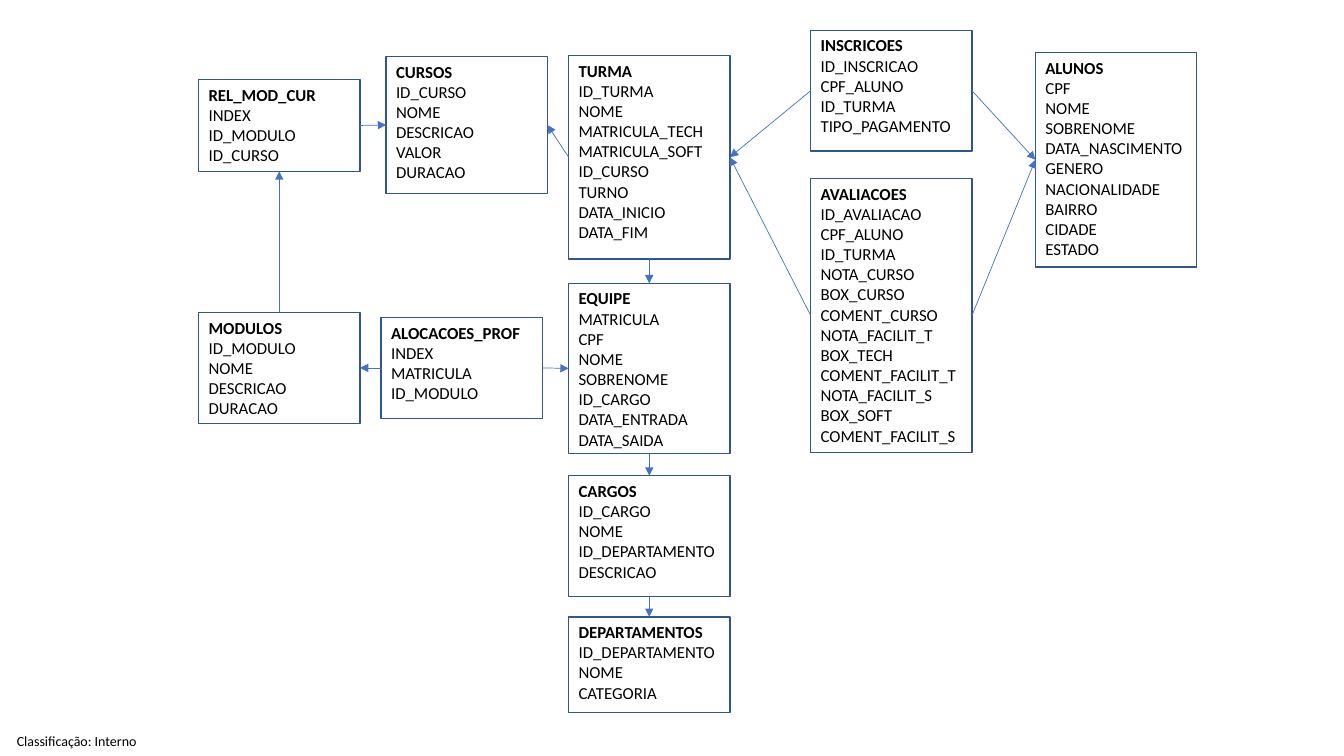
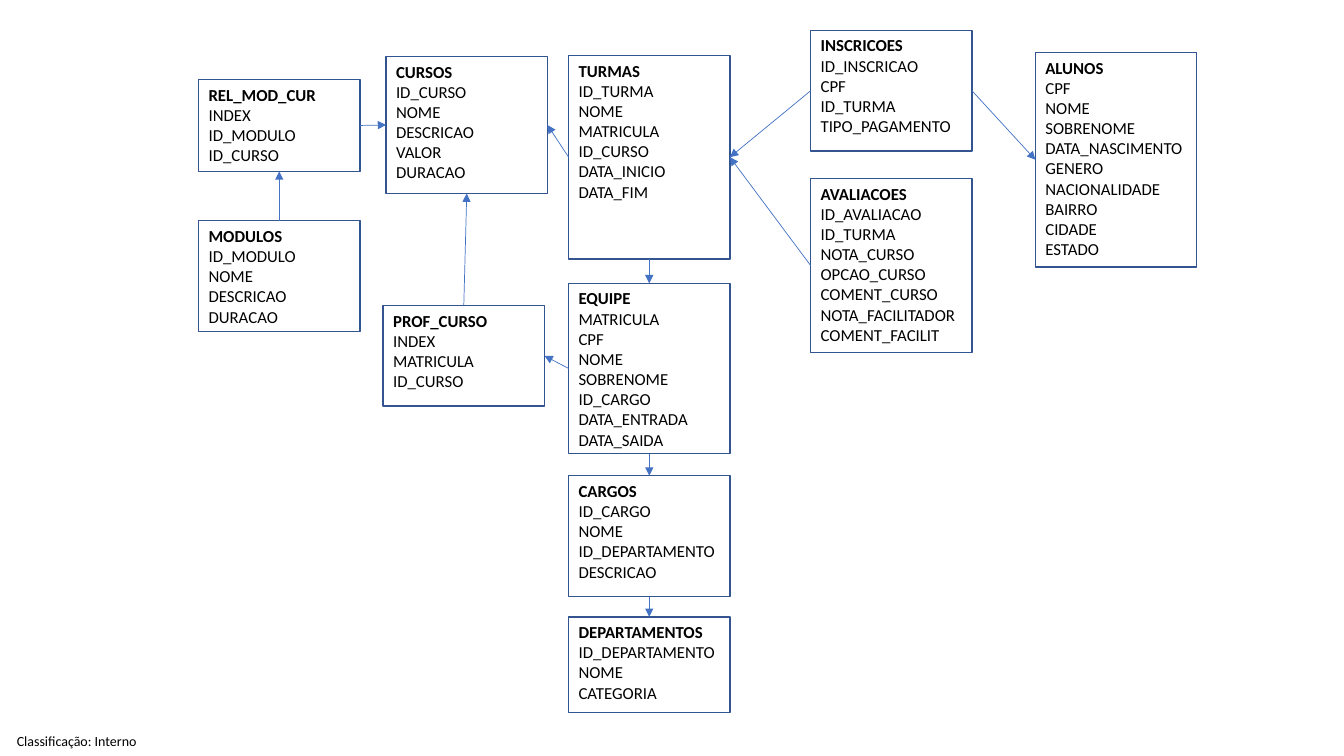
from lxml import etree
from pptx import Presentation
from pptx.dml.color import RGBColor
from pptx.enum.shapes import MSO_CONNECTOR, MSO_SHAPE
from pptx.enum.text import MSO_ANCHOR, PP_ALIGN
from pptx.oxml.ns import qn
from pptx.util import Inches, Pt

RECT, STRAIGHT = MSO_SHAPE.RECTANGLE, MSO_CONNECTOR.STRAIGHT
ANCHOR_TOP, ANCHOR_MIDDLE = MSO_ANCHOR.TOP, MSO_ANCHOR.MIDDLE
LEFT, CENTER = PP_ALIGN.LEFT, PP_ALIGN.CENTER
# Connection sites of a rectangle
N, W, S, E = range(4)

COLORS = {"border": "325491", "arrow": "4472C4", "text": "000000"}
FONT = "Calibri"
BLANK = 6

# Lengths are percentages of the slide's width or height
BOX_W = 12
MODULE_X, COURSE_X, CLASS_X, ENROLL_X, STUDENT_X = 14.78, 28.73, 42.31, 60.32, 77.04

# Each entity: left, top, height, fields
SHARED_ENTITIES = {
    "ALUNOS": (STUDENT_X, 6.93, 28.4,
               "CPF NOME SOBRENOME DATA_NASCIMENTO GENERO NACIONALIDADE BAIRRO CIDADE ESTADO"),
    "EQUIPE": (CLASS_X, 37.47, 22.53,
               "MATRICULA CPF NOME SOBRENOME ID_CARGO DATA_ENTRADA DATA_SAIDA"),
    "DEPARTAMENTOS": (CLASS_X, 81.6, 12.67, "ID_DEPARTAMENTO NOME CATEGORIA"),
    "REL_MOD_CUR": (MODULE_X, 10.53, 12.13, "INDEX ID_MODULO ID_CURSO"),
    "CURSOS": (COURSE_X, 7.47, 18.13, "ID_CURSO NOME DESCRICAO VALOR DURACAO"),
    "CARGOS": (CLASS_X, 62.93, 16, "ID_CARGO NOME ID_DEPARTAMENTO DESCRICAO"),
}
SHARED_LINKS = [
    ("EQUIPE", S, "CARGOS", N),
    ("CARGOS", S, "DEPARTAMENTOS", N),
    ("INSCRICOES", E, "ALUNOS", W),
    ("REL_MOD_CUR", E, "CURSOS", W),
    ("MODULOS", N, "REL_MOD_CUR", S),
]


def class_entity(fields):
    """Return the class entity with the given fields."""
    return CLASS_X, 7.33, 26.93, fields


def enrollment(student_key):
    """Return the enrollment entity with its key to the student."""
    return ENROLL_X, 4, 16, f"ID_INSCRICAO {student_key} ID_TURMA TIPO_PAGAMENTO"


def review(height, fields):
    """Return the review entity with the given height and fields."""
    return ENROLL_X, 23.6, height, fields


def module(top):
    """Return the module entity at the given height on the slide."""
    return MODULE_X, top, 14.67, "ID_MODULO NOME DESCRICAO DURACAO"


def class_links(name):
    """Return the links that start or end at the class entity."""
    return [
        (name, S, "EQUIPE", N),
        (name, W, "CURSOS", E),
        ("INSCRICOES", W, name, E),
        ("AVALIACOES", W, name, E),
    ]


class Diagram:
    """Holds the style, the current slide and its entity boxes."""

    def __init__(self):
        """Start an empty widescreen presentation."""
        self.prs = Presentation()
        self.prs.slide_width, self.prs.slide_height = Inches(13.33), Inches(7.5)

    def x(self, share):
        """Convert a percentage of the slide's width."""
        return round(self.prs.slide_width * share / 100)

    def y(self, share):
        """Convert a percentage of the slide's height."""
        return round(self.prs.slide_height * share / 100)

    def format_text(self, tf, size, align, bold_first=False):
        """Apply the shared font to every run."""
        for i, p in enumerate(tf.paragraphs):
            p.alignment = align
            for r in p.runs:
                r.font.name, r.font.size = FONT, Pt(size)
                r.font.bold = bold_first and i == 0
                r.font.color.rgb = RGBColor.from_string(COLORS["text"])

    def footer(self, text):
        """Add the classification label in the bottom left corner."""
        sp = self.s.shapes.add_textbox(0, self.y(96.13), self.x(11.4), self.y(3.87))
        tf = sp.text_frame
        tf.margin_left = tf.margin_right = tf.margin_top = tf.margin_bottom = 0
        tf.word_wrap, tf.vertical_anchor = True, ANCHOR_MIDDLE
        tf.text = text
        self.format_text(tf, 10, CENTER)

    def entity(self, name, left, top, height, fields):
        """Add an outlined box with a bold name above its fields."""
        sp = self.s.shapes.add_shape(
            RECT, self.x(left), self.y(top), self.x(BOX_W), self.y(height))
        sp.shadow.inherit = False
        sp.fill.background()
        sp.line.color.rgb = RGBColor.from_string(COLORS["border"])
        sp.line.width = Pt(1)
        tf = sp.text_frame
        tf.word_wrap, tf.vertical_anchor = True, ANCHOR_TOP
        tf.text = "\n".join([name, *fields.split(" ")])
        self.format_text(tf, 12, LEFT, bold_first=True)
        self.boxes[name] = sp

    def link(self, start, start_site, end, end_site):
        """Glue an arrow from one entity to another."""
        c = self.s.shapes.add_connector(STRAIGHT, 0, 0, 0, 0)
        c.begin_connect(self.boxes[start], start_site)
        c.end_connect(self.boxes[end], end_site)
        c.line.color.rgb = RGBColor.from_string(COLORS["arrow"])
        c.line.width = Pt(0.5)
        sp_pr = c.element.spPr
        etree.SubElement(sp_pr.find(qn("a:ln")), qn("a:tailEnd"), type="triangle")
        etree.SubElement(sp_pr, qn("a:effectLst"))

    def slide(self, entities, links):
        """Add a slide with the shared and its own entities and links."""
        self.s = self.prs.slides.add_slide(self.prs.slide_layouts[BLANK])
        self.boxes = {}
        self.footer("Classificação: Interno")
        for name, entity in (SHARED_ENTITIES | entities).items():
            self.entity(name, *entity)
        for link in SHARED_LINKS + links:
            self.link(*link)


def main():
    """Build both versions of the data model."""
    d = Diagram()
    d.slide(
        {
            "TURMA": class_entity("ID_TURMA NOME MATRICULA_TECH MATRICULA_SOFT "
                                  "ID_CURSO TURNO DATA_INICIO DATA_FIM"),
            "INSCRICOES": enrollment("CPF_ALUNO"),
            "AVALIACOES": review(
                36.27,
                "ID_AVALIACAO CPF_ALUNO ID_TURMA NOTA_CURSO BOX_CURSO COMENT_CURSO "
                "NOTA_FACILIT_T BOX_TECH COMENT_FACILIT_T\vNOTA_FACILIT_S "
                "BOX_SOFT COMENT_FACILIT_S"),
            "ALOCACOES_PROF": (28.36, 42, 13.33, "INDEX MATRICULA ID_MODULO"),
            "MODULOS": module(41.33),
        },
        class_links("TURMA") + [
            ("ALOCACOES_PROF", E, "EQUIPE", W),
            ("ALOCACOES_PROF", W, "MODULOS", E),
            ("AVALIACOES", E, "ALUNOS", W),
        ],
    )
    d.slide(
        {
            "TURMAS": class_entity("ID_TURMA NOME MATRICULA ID_CURSO DATA_INICIO DATA_FIM"),
            "INSCRICOES": enrollment("CPF"),
            "AVALIACOES": review(
                23.07,
                "ID_AVALIACAO ID_TURMA NOTA_CURSO OPCAO_CURSO COMENT_CURSO "
                "NOTA_FACILITADOR COMENT_FACILIT"),
            "MODULOS": module(29.2),
            "PROF_CURSO": (28.51, 40.4, 13.33, "INDEX MATRICULA ID_CURSO"),
        },
        class_links("TURMAS") + [
            ("EQUIPE", W, "PROF_CURSO", E),
            ("PROF_CURSO", N, "CURSOS", S),
        ],
    )
    d.prs.save("out.pptx")


main()
